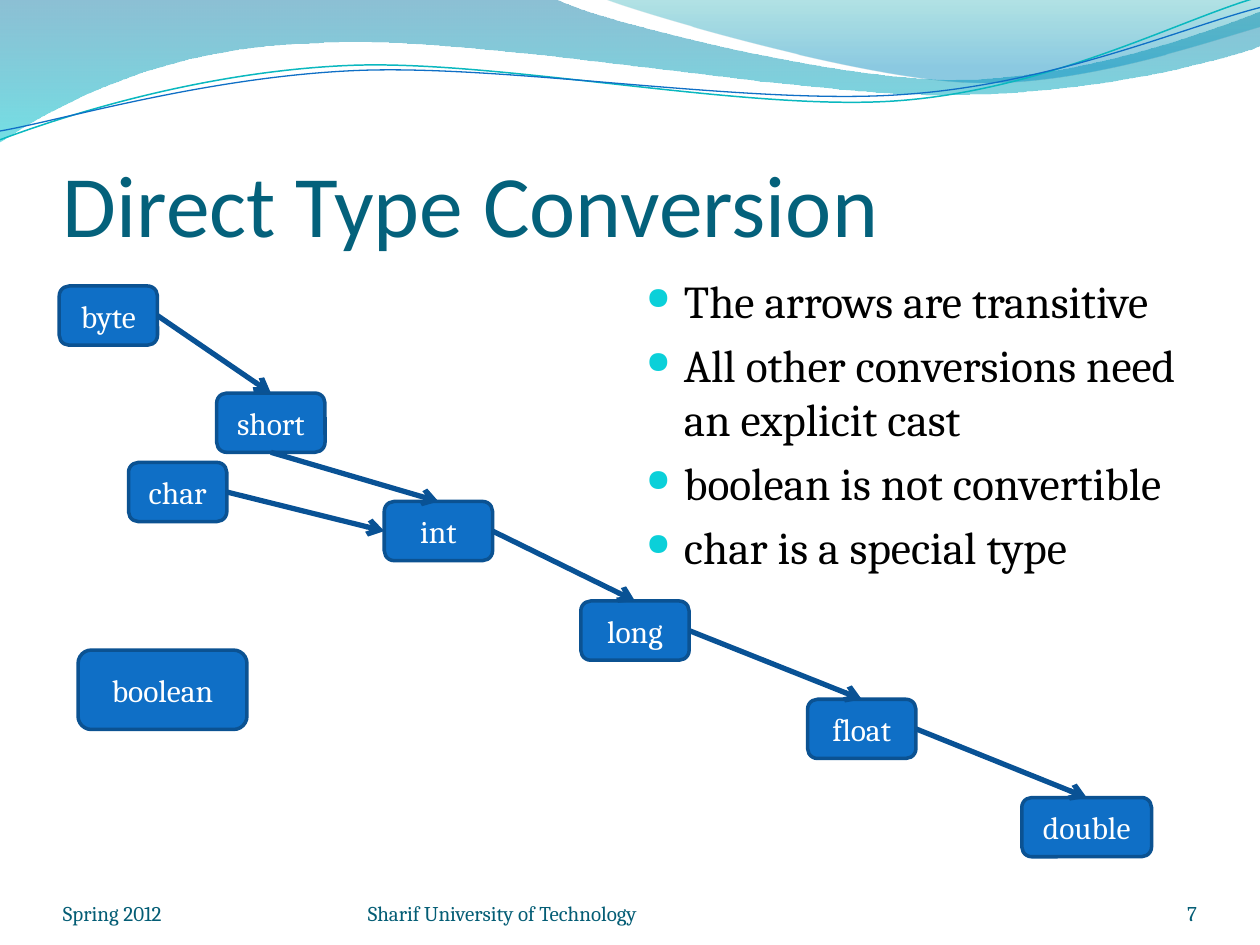
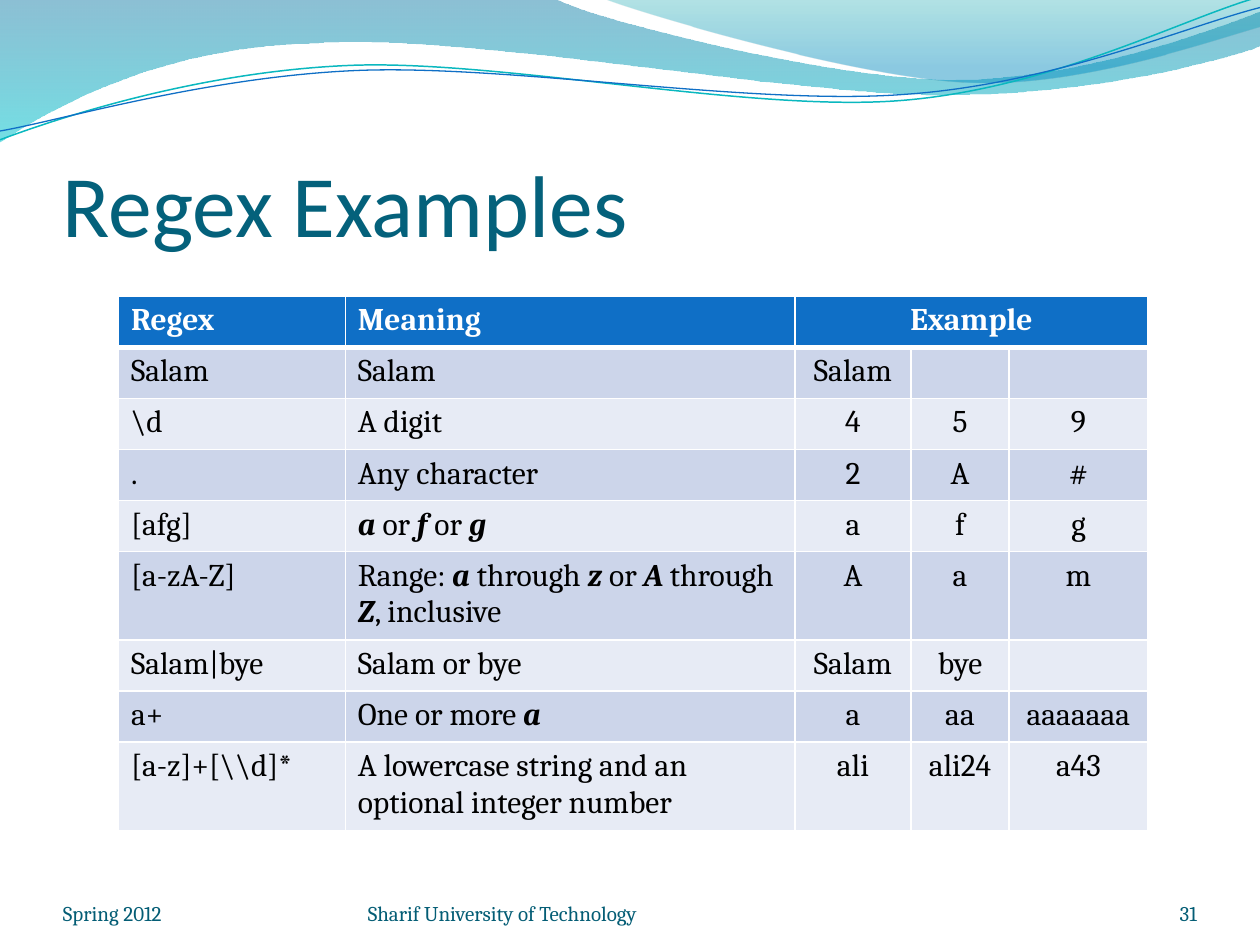
from lxml import etree
from pptx import Presentation
from pptx.dml.color import RGBColor
from pptx.enum.shapes import MSO_CONNECTOR, MSO_SHAPE
from pptx.enum.text import MSO_ANCHOR, PP_ALIGN
from pptx.oxml.ns import qn
from pptx.util import Inches, Pt

LEFT, CENTER, RIGHT = PP_ALIGN.LEFT, PP_ALIGN.CENTER, PP_ALIGN.RIGHT
TOP, MIDDLE, BOTTOM = MSO_ANCHOR.TOP, MSO_ANCHOR.MIDDLE, MSO_ANCHOR.BOTTOM
ROUND, STRAIGHT = MSO_SHAPE.ROUNDED_RECTANGLE, MSO_CONNECTOR.STRAIGHT
NORTH, WEST, SOUTH, EAST = range(4)

BLUE, EDGE, ARROW = "0F6FC6", "0B5292", "095295"
TITLE, FOOT, TEAL, BULLET = "04617B", "045D75", "0AB8BF", "0BD0D9"
WHITE, BLACK = "FFFFFF", "000000"
BANDS = "E7EBF5", "CCD5EA"
HEAD, BODY = "Calibri", "Cambria"

# Each wave is a list of parts: one point is a line, three are a curve.
SWELL = [
    [(0, 0)], [(4.4, -0.01)],
    [(4.76, 0.17), (6.64, 0.63), (7.58, 0.63)],
    [(8.53, 0.63), (9.58, 0.26), (10, 0.09)],
    [(10.01, 0.36)],
    [(9.83, 0.44), (8.7, 0.76), (7.46, 0.75)],
    [(6.22, 0.75), (3.82, 0.28), (2.57, 0.34)],
    [(1.29, 0.36), (0.46, 0.83), (-0.01, 1.13)],
]
CREST = [
    [(4.79, -0.01)],
    [(5.09, 0.11), (6.82, 0.62), (7.69, 0.65)],
    [(8.56, 0.69), (9.61, 0.32), (10, 0.21)],
    [(10, 0)],
]
UPPER = [
    [(0, 1.11)],
    [(0.48, 0.93), (1.58, 0.57), (2.77, 0.52)],
    [(3.95, 0.47), (5.93, 0.89), (7.13, 0.8)],
    [(8.33, 0.71), (9.38, 0.15), (9.98, -0.02)],
]
LOWER = [
    [(0, 1.04)],
    [(0.47, 0.96), (1.64, 0.61), (2.83, 0.56)],
    [(4.03, 0.51), (5.97, 0.84), (7.17, 0.75)],
    [(8.36, 0.67), (9.41, 0.21), (10, 0.06)],
]
# Stops hold place, colour and percent of cover.
FILLS = [
    (SWELL, [(0, "0074A1", 45), (1, "00C6CF", 55)]),
    (CREST, [(0, "00A1A9", 30), (0.8, "008BBF", 45)]),
]
LINES = [(UPPER, TEAL, 0.85), (LOWER, BLUE, 0.75)]

TYPES = {
    "byte": (0.47, 2.27, 0.78, 0.47),
    "char": (1.02, 3.67, 0.78, 0.47),
    "short": (1.72, 3.12, 0.86, 0.47),
    "int": (3.05, 3.98, 0.86, 0.47),
    "long": (4.61, 4.77, 0.86, 0.47),
    "float": (6.41, 5.55, 0.86, 0.47),
    "double": (8.11, 6.33, 1.03, 0.47),
    "boolean": (0.62, 5.16, 1.34, 0.63),
}
CASTS = [
    ("byte", EAST, "short", NORTH),
    ("short", SOUTH, "int", NORTH),
    ("char", EAST, "int", WEST),
    ("int", EAST, "long", NORTH),
    ("long", EAST, "float", NORTH),
    ("float", EAST, "double", NORTH),
]
NOTES = [
    "The arrows are transitive",
    "All other conversions need an explicit cast",
    "boolean is not convertible",
    "char is a special type",
]
# A tilde turns bold italic on and off.
REGEX = [
    ("Regex", "Meaning", "Example", "", ""),
    ("Salam", "Salam", "Salam", "", ""),
    (r"\d", "A digit", "4", "5", "9"),
    (".", "Any character", "2", "A", "#"),
    ("[afg]", "~a~ or ~f~ or ~g~", "a", "f", "g"),
    ("[a-zA-Z]", "Range: ~a~ through ~z~ or ~A~ through ~Z~, inclusive",
     "A", "a", "m"),
    ("Salam|bye", "Salam or bye", "Salam", "bye", ""),
    ("a+", "One or more ~a~", "a", "aa", "aaaaaaa"),
    (r"[a-z]+[\\d]*", "A lowercase string and an optional integer number",
     "ali", "ali24", "a43"),
]


def color(code):
    return RGBColor.from_string(code)


def add(node, tag, **attrs):
    return etree.SubElement(node, qn(tag), attrs)


class Deck:
    def __init__(self):
        self.file = Presentation()
        self.file.slide_width = Inches(10)
        self.file.slide_height = Inches(7.5)

    def start(self, title, number):
        """Add a slide with its waves, title and footer."""
        layout = self.file.slide_layouts[6]
        self.shapes = self.file.slides.add_slide(layout).shapes
        for wave, stops in FILLS:
            self.sheet(wave, stops)
        for wave, code, width in LINES:
            self.curve(wave, code, width)
        self.text((0.5, 0.77, 9, 1.25), [title], (0, 0.05, 0, 0), BOTTOM,
                  size=50, code=TITLE, face=HEAD)
        for left, width, words, align in (
                (0.5, 2.33, "Spring 2012", LEFT),
                (2.92, 3.67, "Sharif University of Technology", LEFT),
                (8.67, 0.83, str(number), RIGHT)):
            self.text((left, 6.95, width, 0.4), [words], (0, 0, 0, 0), BOTTOM,
                      size=12, code=FOOT, align=align)

    def outline(self, wave, close):
        """Draw straight lines between the ends, then bend the curved parts."""
        first, *rest = [tuple(map(Inches, part[-1])) for part in wave]
        pen = self.shapes.build_freeform(*first)
        pen.add_line_segments(rest, close=close)
        shape = pen.convert_to_shape()
        shape.shadow.inherit = False
        lines = list(shape._element.spPr.iter(qn("a:lnTo")))
        for line, part in zip(lines, wave[1:]):
            if len(part) == 3:
                bend = etree.Element(qn("a:cubicBezTo"))
                for x, y in part:
                    add(bend, "a:pt", x=str(Inches(x) - shape.left),
                        y=str(Inches(y) - shape.top))
                line.getparent().replace(line, bend)
        return shape

    def sheet(self, wave, stops):
        shape = self.outline(wave, True)
        shape.line.fill.background()
        shape.fill.gradient()
        shape.fill.gradient_angle = 270
        for stop, (place, code, _) in zip(shape.fill.gradient_stops, stops):
            stop.position = place
            stop.color.rgb = color(code)
        tints = shape._element.spPr.iter(qn("a:srgbClr"))
        for tint, (_, _, cover) in zip(tints, stops):
            add(tint, "a:alpha", val=str(cover * 1000))

    def curve(self, wave, code, width):
        shape = self.outline(wave, False)
        shape.fill.background()
        self.stroke(shape, code, width)

    def stroke(self, shape, code, width):
        shape.line.color.rgb = color(code)
        shape.line.width = Pt(width)

    def style(self, para, size=18, code=BLACK, face=BODY, align=LEFT,
              bold=False):
        para.alignment = align
        font = para.font
        font.name, font.size, font.bold = face, Pt(size), bold
        font.color.rgb = color(code)

    def bullet(self, para):
        para.space_before = Pt(5.2)
        props = para._p.get_or_add_pPr()
        props.set("marL", str(Inches(0.3)))
        props.set("indent", str(Inches(-0.3)))
        add(add(props, "a:buClr"), "a:srgbClr", val=BULLET)
        add(props, "a:buSzPct", val="68000")
        add(props, "a:buChar", char="●")

    def text(self, box, lines, inset=(0.1, 0.05, 0.1, 0.05), anchor=TOP,
             dots=False, **look):
        frame = self.shapes.add_textbox(*map(Inches, box)).text_frame
        frame.word_wrap = True
        frame.vertical_anchor = anchor
        (frame.margin_left, frame.margin_top,
         frame.margin_right, frame.margin_bottom) = map(Inches, inset)
        frame.text = "\n".join(lines)
        for para in frame.paragraphs:
            if dots:
                self.bullet(para)
            self.style(para, **look)

    def node(self, words, box):
        shape = self.shapes.add_shape(ROUND, *map(Inches, box))
        shape.shadow.inherit = False
        shape.fill.solid()
        shape.fill.fore_color.rgb = color(BLUE)
        self.stroke(shape, EDGE, 2)
        frame = shape.text_frame
        frame.vertical_anchor = MIDDLE
        frame.text = words
        self.style(frame.paragraphs[0], code=WHITE, align=CENTER)
        return shape

    def arrow(self, tail, out, tip, into):
        link = self.shapes.add_connector(STRAIGHT, 0, 0, 0, 0)
        link.begin_connect(tail, out)
        link.end_connect(tip, into)
        self.stroke(link, ARROW, 3)
        add(link.line._get_or_add_ln(), "a:tailEnd", type="arrow")
        add(link._element.spPr, "a:effectLst")

    def cell(self, cell, words, fill, thick, **look):
        """Fill one cell; thick names the border side that is 3 points wide."""
        props = cell._tc.get_or_add_tcPr()
        for side in "LRTB":
            width = Pt(3 if side == thick else 1)
            edge = add(props, "a:ln" + side, w=str(width))
            add(add(edge, "a:solidFill"), "a:srgbClr", val=WHITE)
        cell.fill.solid()
        cell.fill.fore_color.rgb = color(fill)
        para = cell.text_frame.paragraphs[0]
        self.style(para, **look)
        for i, part in enumerate(words.split("~")):
            if part:
                run = para.add_run()
                run.text = part
                if i % 2:
                    run.font.bold = run.font.italic = True

    def table(self, left, top, widths, height, rows):
        frame = self.shapes.add_table(
            len(rows), len(widths), Inches(left), Inches(top),
            Inches(sum(widths)), height * len(rows))
        grid = frame.table
        for col, width in zip(grid.columns, widths):
            col.width = Inches(width)
        for r, row in enumerate(rows):
            grid.rows[r].height = height
            head = r == 0
            for c, words in enumerate(row):
                self.cell(grid.cell(r, c), words,
                          BLUE if head else BANDS[r % 2],
                          {0: "B", 1: "T"}.get(r),
                          code=WHITE if head else BLACK, bold=head,
                          align=CENTER if c > 1 else LEFT)
        grid.cell(0, 2).merge(grid.cell(0, 4))


def main():
    deck = Deck()

    deck.start("Direct Type Conversion", 7)
    deck.text((5.03, 2.12, 4.73, 4.8), NOTES, dots=True, size=26)
    nodes = {name: deck.node(name, box) for name, box in TYPES.items()}
    for tail, out, tip, into in CASTS:
        deck.arrow(nodes[tail], out, nodes[tip], into)

    deck.start("Regex Examples", 31)
    deck.table(0.94, 2.35, (1.8, 3.57, 0.92, 0.78, 1.1), Pt(29.2), REGEX)

    deck.file.save("out.pptx")


if __name__ == "__main__":
    main()
